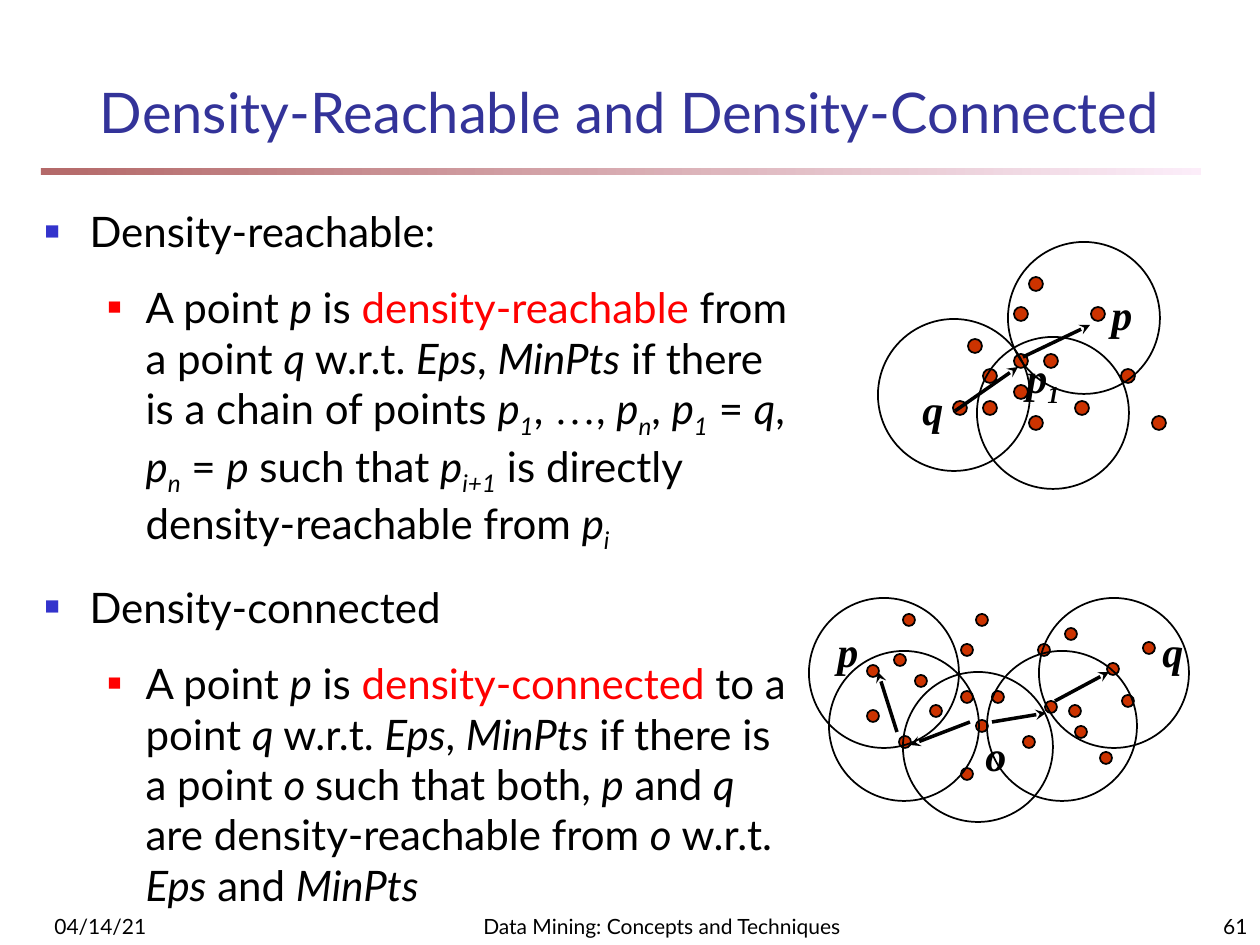
from dataclasses import dataclass
from typing import NamedTuple

from lxml import etree
from pptx import Presentation
from pptx.dml.color import RGBColor
from pptx.enum.shapes import MSO_CONNECTOR, MSO_SHAPE
from pptx.enum.text import MSO_ANCHOR, MSO_AUTO_SIZE, PP_ALIGN
from pptx.oxml.ns import qn
from pptx.util import Emu, Pt

OVAL, RECTANGLE = MSO_SHAPE.OVAL, MSO_SHAPE.RECTANGLE
STRAIGHT = MSO_CONNECTOR.STRAIGHT
LEFT, CENTER, RIGHT = PP_ALIGN.LEFT, PP_ALIGN.CENTER, PP_ALIGN.RIGHT
TOP, MIDDLE, BOTTOM = MSO_ANCHOR.TOP, MSO_ANCHOR.MIDDLE, MSO_ANCHOR.BOTTOM
NO_FIT = MSO_AUTO_SIZE.NONE
PX_PER_INCH = 126


@dataclass(frozen=True)
class Theme:
    sans: str = "Lato"
    serif: str = "Times New Roman"
    ink: str = "000000"
    title: str = "333399"
    accent: str = "FF0000"
    bullet: str = "3333CC"
    dot: str = "CC3300"
    rule_start: str = "800000"
    rule_end: str = "FAE2F6"
    title_size: int = 32
    body_size: int = 24
    footer_size: int = 12


THEME = Theme()


class Run(NamedTuple):
    text: str
    italic: bool = False
    subscript: bool = False
    bold: bool = False
    color: str = THEME.ink
    size: int = THEME.body_size
    font: str = THEME.sans


class Level(NamedTuple):
    margin: int
    hanging: int
    bullet_color: str
    bullet_percent: int


class Label(NamedTuple):
    left: int
    top: int
    width: int
    runs: list[Run]


class Footer(NamedTuple):
    left: int
    width: int
    text: str
    align: PP_ALIGN


@dataclass(frozen=True)
class Diagram:
    dot_size: int
    dots: list[tuple[int, int]]
    circle_size: int
    circles: list[tuple[int, int]]
    labels: list[Label]
    arrows: list[tuple[int, int, int, int]]


def var(name: str, index: str = "") -> list[Run]:
    """An italic variable with an optional subscript."""
    return [Run(name, italic=True)] + ([Run(index, italic=True, subscript=True)] if index else [])


def mark(name: str, index: str = "") -> list[Run]:
    """A bold serif variable for a diagram."""
    return [run._replace(bold=True, font=THEME.serif) for run in var(name, index)]


def definition(term: str, link: str) -> list[Run]:
    """The opening that both definitions share."""
    return [Run("A point "), *var("p"), Run(" is "), Run(term, color=THEME.accent), Run(link),
            *var("q"), Run(" w.r.t. "), *var("Eps"), Run(", "), *var("MinPts")]


HEADING = Level(45, 45, THEME.bullet, 60)
DETAIL = Level(101, 38, THEME.accent, 55)
OUTLINE = [
    (HEADING, [Run("Density-reachable:")]),
    (DETAIL, [*definition("density-reachable", " from a point "),
              Run(" if there is a chain of points "), *var("p", "1"), Run(", "),
              Run("…", font=THEME.serif), Run(", "), *var("p", "n"), Run(", "),
              *var("p", "1"), Run(" = "), *var("q"), Run(", "), *var("p", "n"), Run(" = "),
              *var("p"), Run(" such that "), *var("p", "i+1"),
              Run(" is directly density-reachable from "), *var("p", "i")]),
    (HEADING, [Run("Density-connected")]),
    (DETAIL, [*definition("density-connected", " to a point "), Run(" if there is a point "),
              *var("o "), Run("such that both, "), *var("p"), Run(" and "), *var("q"),
              Run(" are density-reachable from "), *var("o"), Run(" w.r.t. "),
              *var("Eps"), Run(" and "), *var("MinPts")]),
]
REACHABLE = Diagram(
    14, [(975, 346), (1021, 361), (1021, 314), (960, 408), (990, 376), (990, 408), (1036, 423),
         (1036, 284), (1128, 376), (1098, 314), (1021, 392), (1051, 361), (1082, 408), (1159, 423)],
    152, [(1053, 413), (954, 395), (1084, 318)],
    [Label(1099, 282, 53, mark("p")), Label(910, 377, 53, mark("q")),
     Label(1014, 345, 84, mark("p", "1"))],
    [(1023, 357, 1090, 325), (955, 411, 1018, 367)])
CONNECTED = Diagram(
    12, [(921, 681), (967, 697), (967, 650), (905, 742), (936, 711), (967, 774), (982, 726),
         (982, 620), (1075, 711), (1044, 650), (873, 716), (998, 697), (1029, 742), (1106, 758),
         (1128, 701), (1051, 707), (1081, 732), (1149, 648), (1071, 634), (1113, 669),
         (900, 660), (873, 671), (909, 620)],
    150, [(904, 726), (978, 747), (1062, 726), (1114, 673), (884, 673)],
    [Label(825, 619, 50, mark("p")), Label(1150, 619, 50, mark("q")),
     Label(973, 723, 50, mark("o"))],
    [(970, 722, 910, 745), (992, 722, 1046, 713), (897, 732, 878, 672), (1055, 701, 1109, 672)])
FOOTERS = [Footer(42, 262, "04/14/21", LEFT),
           Footer(462, 400, "Data Mining: Concepts and Techniques", CENTER),
           Footer(998, 262, "61", RIGHT)]


def px(length: int) -> Emu:
    return Emu(round(length * 914400 / PX_PER_INCH))


def rgb(color: str) -> RGBColor:
    return RGBColor.from_string(color)


def add_runs(paragraph, runs: list[Run]) -> None:
    for item in runs:
        run = paragraph.add_run()
        run.text = item.text
        font = run.font
        font.name, font.size, font.color.rgb = item.font, Pt(item.size), rgb(item.color)
        font.bold, font.italic = item.bold, item.italic
        if item.subscript:
            font._element.set("baseline", "-25000")


def place(shape, left: int, top: int, width: int, height: int, anchor: MSO_ANCHOR):
    """Position a text shape and return its prepared frame."""
    shape.left, shape.top, shape.width, shape.height = map(px, (left, top, width, height))
    frame = shape.text_frame
    frame.word_wrap, frame.auto_size, frame.vertical_anchor = True, NO_FIT, anchor
    return frame


def set_bullet(paragraph, level: Level) -> None:
    properties = paragraph._p.get_or_add_pPr()
    properties.set("marL", str(px(level.margin)))
    properties.set("indent", str(-px(level.hanging)))
    color = etree.SubElement(properties, qn("a:buClr"))
    etree.SubElement(color, qn("a:srgbClr"), val=level.bullet_color)
    etree.SubElement(properties, qn("a:buSzPct"), val=str(level.bullet_percent * 1000))
    etree.SubElement(properties, qn("a:buFont"), typeface=THEME.serif)
    etree.SubElement(properties, qn("a:buChar"), char="■")


def add_text(slide, left: int, top: int, width: int, height: int, runs: list[Run],
             align: PP_ALIGN = LEFT, anchor: MSO_ANCHOR = TOP) -> None:
    box = slide.shapes.add_textbox(0, 0, 0, 0)
    paragraph = place(box, left, top, width, height, anchor).paragraphs[0]
    paragraph.alignment = align
    add_runs(paragraph, runs)


def add_circle(slide, center: tuple[int, int], size: int, fill: str = "") -> None:
    x, y = center
    circle = slide.shapes.add_shape(OVAL, px(x - size // 2), px(y - size // 2), px(size), px(size))
    circle.shadow.inherit = False
    if fill:
        circle.fill.solid()
        circle.fill.fore_color.rgb = rgb(fill)
    else:
        circle.fill.background()
    circle.line.color.rgb, circle.line.width = rgb(THEME.ink), Pt(1)


def add_arrow(slide, ends: tuple[int, int, int, int]) -> None:
    arrow = slide.shapes.add_connector(STRAIGHT, *map(px, ends))
    arrow.line.color.rgb, arrow.line.width = rgb(THEME.ink), Pt(2)
    etree.SubElement(arrow.line._get_or_add_ln(), qn("a:tailEnd"), type="stealth")
    etree.SubElement(arrow._element.spPr, qn("a:effectLst"))


def add_rule(slide) -> None:
    rule = slide.shapes.add_shape(RECTANGLE, px(41), px(168), px(1160), px(7))
    rule.shadow.inherit = False
    rule.line.fill.background()
    rule.fill.gradient()
    rule.fill.gradient_angle = 0
    for stop, color in zip(rule.fill.gradient_stops, (THEME.rule_start, THEME.rule_end)):
        stop.color.rgb = rgb(color)
    for color in rule._element.spPr.iter(qn("a:srgbClr")):
        etree.SubElement(color, qn("a:alpha"), val="58000")


def add_diagram(slide, diagram: Diagram) -> None:
    for center in diagram.dots:
        add_circle(slide, center, diagram.dot_size, THEME.dot)
    for center in diagram.circles:
        add_circle(slide, center, diagram.circle_size)
    for label in diagram.labels:
        add_text(slide, label.left, label.top, label.width, 63, label.runs)
    for ends in diagram.arrows:
        add_arrow(slide, ends)


def main() -> None:
    deck = Presentation()
    deck.slide_width, deck.slide_height = px(1260), px(945)
    slide = deck.slides.add_slide(deck.slide_layouts[1])
    title, body = slide.placeholders
    heading = place(title, 0, 53, 1260, 116, MIDDLE).paragraphs[0]
    heading.alignment = CENTER
    add_runs(heading, [Run("Density-Reachable and Density-Connected",
                           color=THEME.title, size=THEME.title_size)])
    frame = place(body, 32, 199, 777, 693, TOP)
    for index, (level, runs) in enumerate(OUTLINE):
        paragraph = frame.add_paragraph() if index else frame.paragraphs[0]
        paragraph.level = int(level is DETAIL)
        set_bullet(paragraph, level)
        paragraph.space_before = Pt(15 if index else 0)
        add_runs(paragraph, runs)
    add_rule(slide)
    for footer in FOOTERS:
        add_text(slide, footer.left, 892, footer.width, 53,
                 [Run(footer.text, size=THEME.footer_size)], footer.align, BOTTOM)
    add_diagram(slide, REACHABLE)
    add_diagram(slide, CONNECTED)
    deck.save("out.pptx")


if __name__ == "__main__":
    main()
